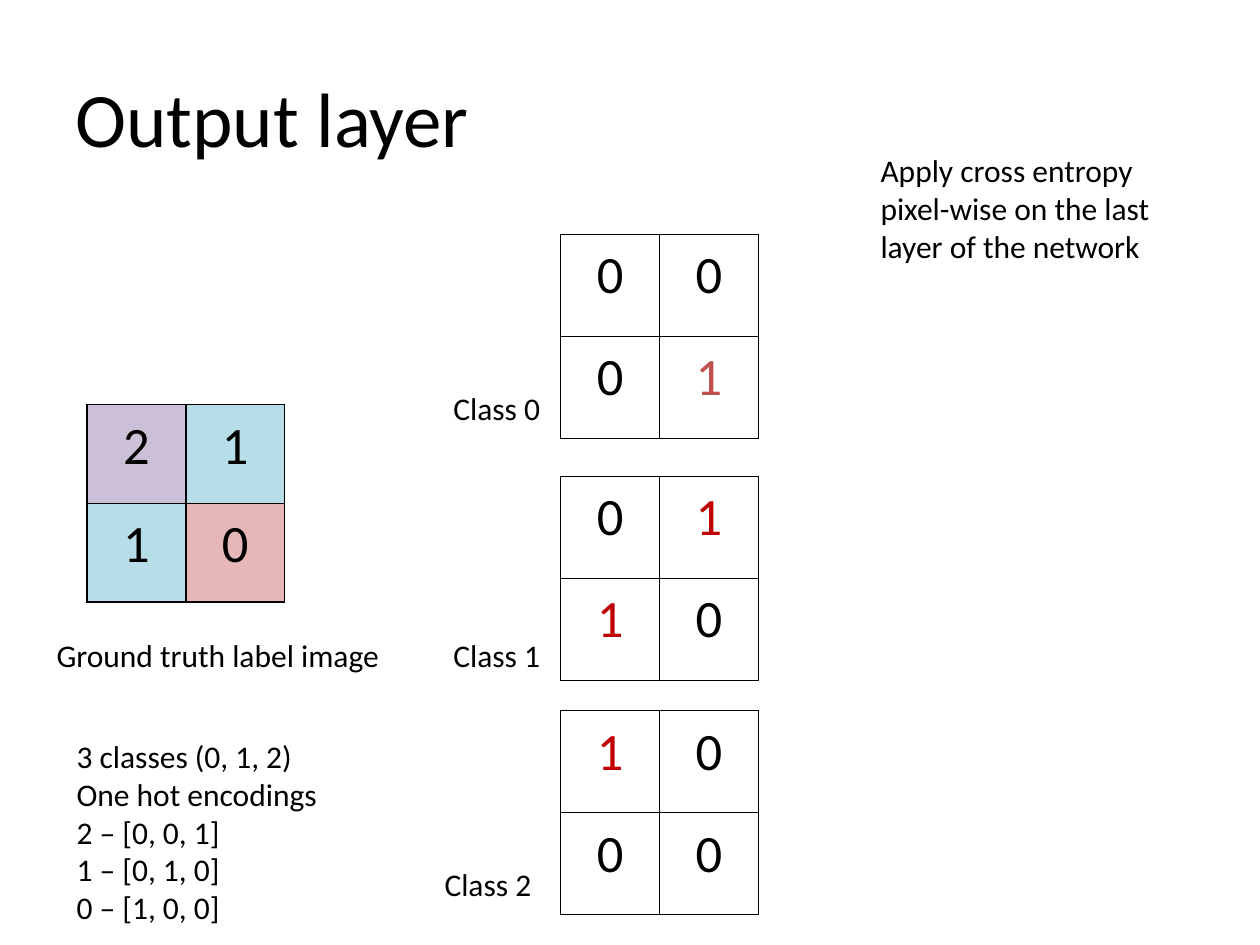
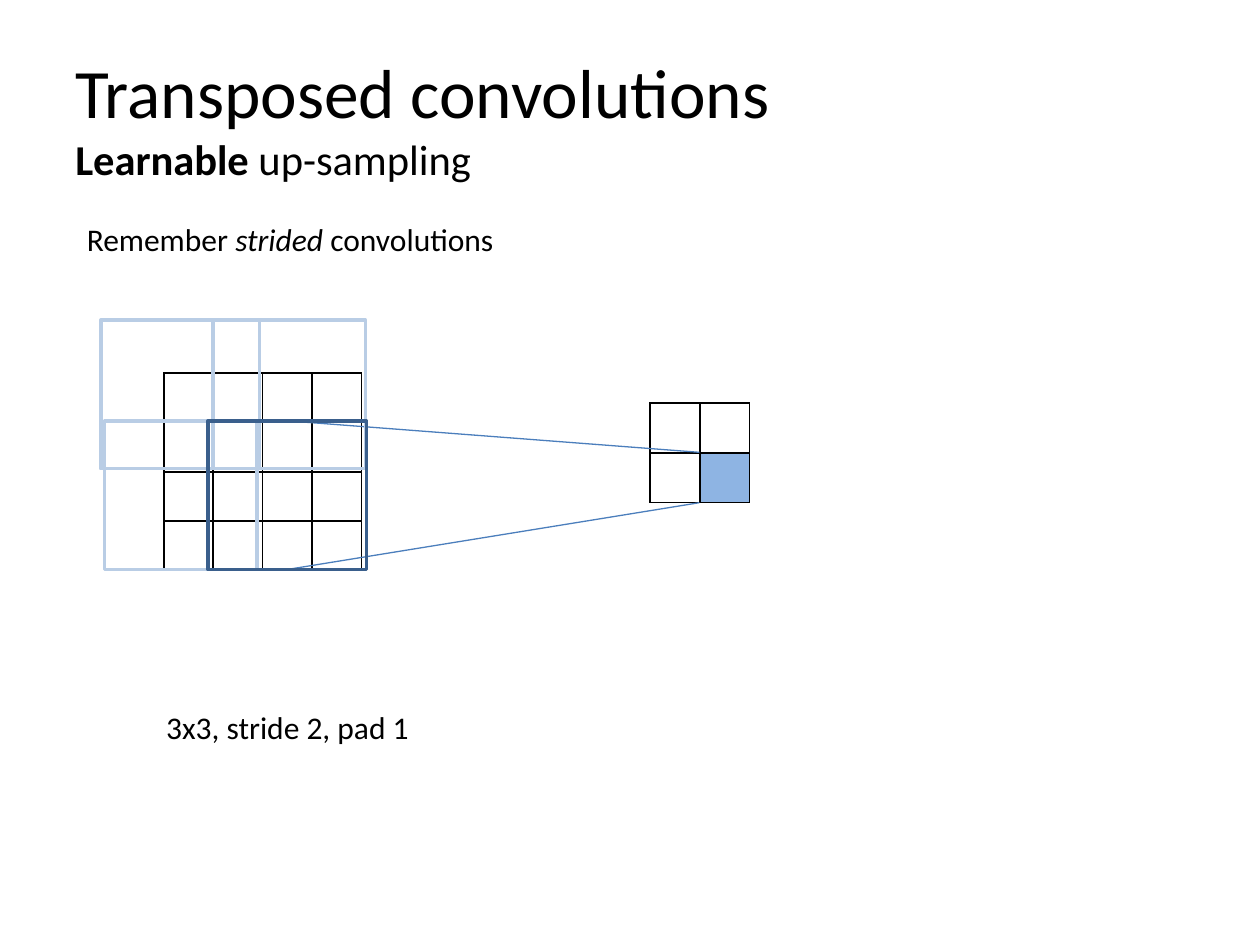
from dataclasses import dataclass

from lxml.etree import SubElement
from pptx import Presentation
from pptx.dml.color import RGBColor
from pptx.enum.shapes import MSO_CONNECTOR, MSO_SHAPE
from pptx.enum.text import MSO_ANCHOR, PP_ALIGN
from pptx.oxml.ns import qn
from pptx.util import Inches, Pt


@dataclass(frozen=True)
class Theme:
    font: str = "Calibri"
    ink: str = "000000"
    soft_red: str = "C0504D"
    red: str = "C00000"
    class_fills: tuple = ("E5B8B7", "B7DEE8", "CCC0D9")
    output_fill: str = "8EB4E3"
    pale_window: str = "B9CDE5"
    dark_window: str = "3A5F8C"
    projection: str = "4B7EBC"
    title: float = 44
    long_title: float = 39.6
    subtitle: float = 24.3
    digit: float = 30
    body: float = 18
    border: float = 1
    window_line: float = 2
    thin_line: float = 0.75


THEME = Theme()


def rgb(value):
    return RGBColor.from_string(value)


class Deck:
    def __init__(self, theme):
        self.theme = theme
        self.prs = Presentation()
        self.prs.slide_width, self.prs.slide_height = Inches(10), Inches(7.5)
        self.s = None

    def new_slide(self):
        self.s = self.prs.slides.add_slide(self.prs.slide_layouts[6])

    def run(self, p, text, size, color=None, style=""):
        """Add a run; style may hold "b" for bold and "i" for italic."""
        r = p.add_run()
        r.text = text
        r.font.name, r.font.size = self.theme.font, Pt(size)
        r.font.color.rgb = rgb(color or self.theme.ink)
        r.font.bold, r.font.italic = "b" in style, "i" in style

    def text(self, box, paragraphs, wrap=False, anchor=MSO_ANCHOR.TOP):
        """Each paragraph is a list of (text, size, style) runs."""
        tf = self.s.shapes.add_textbox(*map(Inches, box)).text_frame
        tf.word_wrap, tf.vertical_anchor = wrap, anchor
        for i, runs in enumerate(paragraphs):
            p = tf.add_paragraph() if i else tf.paragraphs[0]
            for text, size, style in runs:
                self.run(p, text, size, style=style)

    def title(self, *paragraphs):
        self.text((0.5, 0.3, 9, 1.25), paragraphs, True, MSO_ANCHOR.MIDDLE)

    def label(self, box, *lines, wrap=False):
        self.text(box, [[(line, self.theme.body, "")] for line in lines], wrap)

    def border(self, cell):
        tc_pr = cell._tc.get_or_add_tcPr()
        for side in ("lnL", "lnR", "lnT", "lnB"):
            ln = SubElement(tc_pr, qn(f"a:{side}"), w=str(Pt(self.theme.border)))
            fill = SubElement(ln, qn("a:solidFill"))
            SubElement(fill, qn("a:srgbClr"), val=self.theme.ink)

    def grid(self, left, top, width, height, values, fills=None, colors=None):
        """Draw a bordered table; fills and colors map a cell value to a colour."""
        fills, colors = fills or {}, colors or {}
        rows, cols = len(values), len(values[0])
        table = self.s.shapes.add_table(
            rows, cols, *map(Inches, (left, top, width, height))).table
        table.first_row = table.horz_banding = False
        for r, row in enumerate(values):
            for c, value in enumerate(row):
                cell = table.cell(r, c)
                cell.margin_left = cell.margin_right = Inches(0.07)
                cell.margin_top = cell.margin_bottom = 0
                self.border(cell)
                if value in fills:
                    cell.fill.solid()
                    cell.fill.fore_color.rgb = rgb(fills[value])
                else:
                    cell.fill.background()
                if isinstance(value, int):
                    p = cell.text_frame.paragraphs[0]
                    p.alignment, p.line_spacing = PP_ALIGN.CENTER, 1.15
                    self.run(p, str(value), self.theme.digit, colors.get(value))

    def line(self, start, end):
        sp = self.s.shapes.add_connector(
            MSO_CONNECTOR.STRAIGHT, *map(Inches, start + end))
        sp.line.color.rgb = rgb(self.theme.projection)
        sp.line.width = Pt(self.theme.thin_line)
        SubElement(sp._element.spPr, qn("a:effectLst"))

    def window(self, box, color):
        sp = self.s.shapes.add_shape(MSO_SHAPE.RECTANGLE, *map(Inches, box))
        sp.shadow.inherit = False
        sp.fill.background()
        sp.line.color.rgb = rgb(color)
        sp.line.width = Pt(self.theme.window_line)


def output_layer(deck):
    t = deck.theme
    deck.new_slide()
    deck.title([("Output layer", t.title, "")])

    truth = [[2, 1], [1, 0]]
    deck.grid(0.69, 3.21, 1.57, 1.57, truth, dict(enumerate(t.class_fills)))
    deck.label((0.35, 5, 2.79, 0.4), "Ground truth label image")
    deck.label((0.51, 5.8, 2.13, 1.62), "3 classes (0, 1, 2)", "One hot encodings",
               "2 – [0, 0, 1]", "1 – [0, 1, 0]", "0 – [1, 0, 0]")

    class_maps = [(1.86, 3.5, 3.04, t.soft_red),
                  (3.78, 3.5, 5, t.red),
                  (5.64, 3.43, 6.82, t.red)]
    for k, (top, label_left, label_top, color) in enumerate(class_maps):
        one_hot = [[int(value == k) for value in row] for row in truth]
        deck.grid(4.45, top, 1.57, 1.62, one_hot, colors={1: color})
        deck.label((label_left, label_top, 0.9, 0.4), f"Class {k}")

    deck.label((6.89, 1.15, 2.6, 1.01),
               "Apply cross entropy pixel-wise on the last layer of the network",
               wrap=True)


def transposed_convolutions(deck):
    t = deck.theme
    deck.new_slide()
    deck.title([("Transposed convolutions", t.long_title, "")],
               [("Learnable", t.subtitle, "b"), (" up-sampling", t.subtitle, "")])
    deck.text((0.59, 1.7, 3.48, 0.4),
              [[("Remember ", t.body, ""), ("strided", t.body, "i"),
                (" convolutions", t.body, "")]])

    deck.grid(1.3, 2.96, 1.57, 1.57, [[None] * 4] * 4)
    deck.label((1.22, 5.57, 2.15, 0.4), "3x3, stride 2, pad 1")
    deck.grid(5.16, 3.2, 0.79, 0.79, [[None, None], [None, "output"]],
              {"output": t.output_fill})

    for input_y, output_y in ((3.34, 3.59), (4.52, 3.99)):
        deck.line((2.28, input_y), (5.55, output_y))

    windows = [(0.8, 2.54, 1.26, t.pale_window), (1.69, 2.54, 1.21, t.pale_window),
               (0.83, 3.34, 1.21, t.pale_window), (1.65, 3.34, 1.26, t.dark_window)]
    for left, top, width, color in windows:
        deck.window((left, top, width, 1.18), color)


def main():
    deck = Deck(THEME)
    output_layer(deck)
    transposed_convolutions(deck)
    deck.prs.save("out.pptx")


if __name__ == "__main__":
    main()
